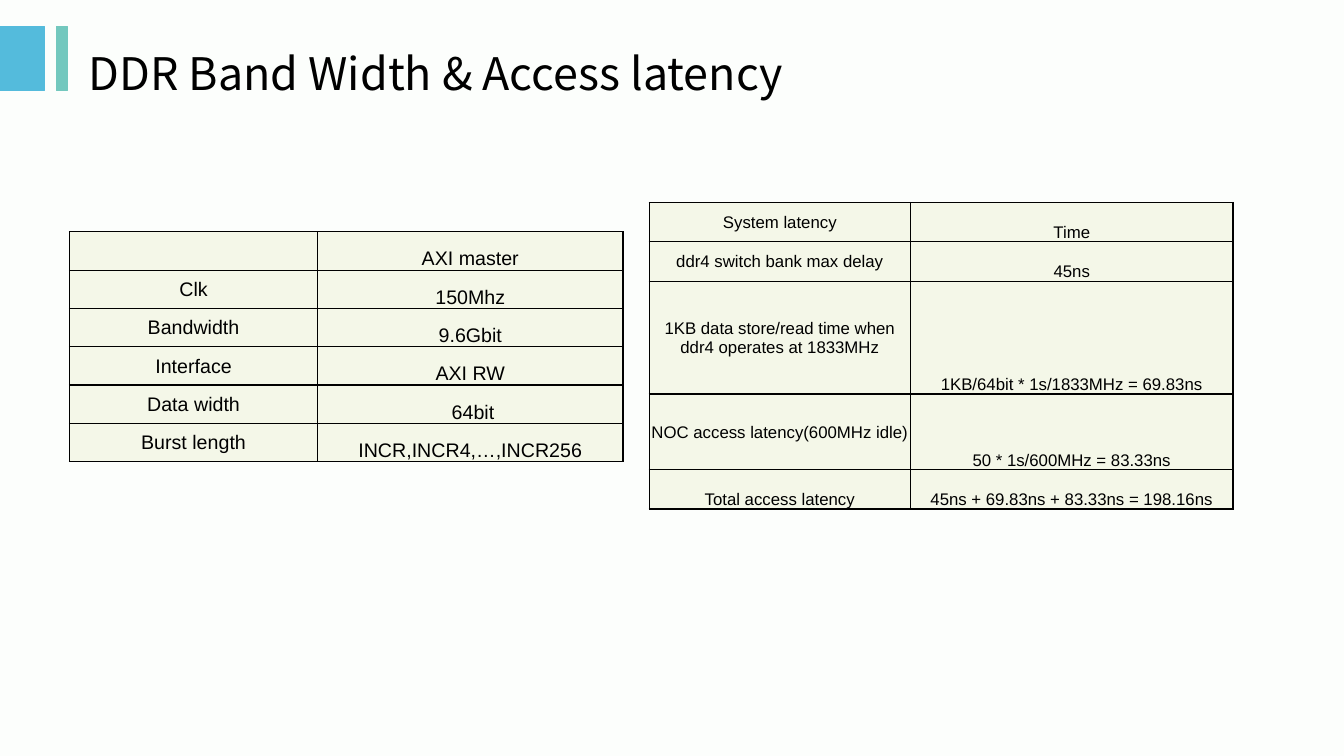
from lxml import etree
from pptx import Presentation
from pptx.dml.color import RGBColor
from pptx.enum.shapes import MSO_SHAPE
from pptx.enum.text import MSO_ANCHOR, PP_ALIGN
from pptx.oxml.ns import qn
from pptx.util import Inches, Pt

RECT = MSO_SHAPE.RECTANGLE
MIDDLE, BOTTOM = MSO_ANCHOR.MIDDLE, MSO_ANCHOR.BOTTOM
LEFT, CENTER = PP_ALIGN.LEFT, PP_ALIGN.CENTER

BACKGROUND = RGBColor(0xFC, 0xFE, 0xFC)
BLUE = RGBColor(0x54, 0xBB, 0xDC)
TEAL = RGBColor(0x73, 0xC8, 0xBE)
CELL = RGBColor(0xF4, 0xF7, 0xE8)
BLACK = RGBColor(0, 0, 0)

AXI_ROWS = [
    ("", "AXI master"),
    ("Clk", "150Mhz"),
    ("Bandwidth", "9.6Gbit"),
    ("Interface", "AXI RW"),
    ("Data width", " 64bit"),
    ("Burst length", "INCR,INCR4,…,INCR256"),
]
LATENCY_ROWS = [
    ("System latency", "Time"),
    ("ddr4 switch bank max delay", "45ns"),
    ("1KB data store/read time when ddr4 operates at 1833MHz",
     "1KB/64bit * 1s/1833MHz = 69.83ns"),
    ("NOC access latency(600MHz idle)", "50 * 1s/600MHz = 83.33ns"),
    ("Total access latency", "45ns + 69.83ns + 83.33ns = 198.16ns"),
]


def write(tf, text, size, font="Arial", color=BLACK, align=LEFT):
    tf.word_wrap = True
    p = tf.paragraphs[0]
    p.alignment = align
    r = p.add_run()
    r.text = text
    r.font.size = Pt(size)
    r.font.name = font
    r.font.color.rgb = color
    for tag in ("a:ea", "a:cs"):
        etree.SubElement(r.font._element, qn(tag), typeface=font)


def add_borders(cell, color=BLACK, width=1):
    tc_pr = cell._tc.get_or_add_tcPr()
    for side in "LRTB":
        ln = etree.SubElement(tc_pr, qn(f"a:ln{side}"), w=str(Pt(width)))
        fill = etree.SubElement(ln, qn("a:solidFill"))
        etree.SubElement(fill, qn("a:srgbClr"), val=str(color))


class Deck:
    def __init__(self):
        self.prs = Presentation()
        self.prs.slide_width = Inches(13.33)
        self.prs.slide_height = Inches(7.5)
        self.s = self.prs.slides.add_slide(self.prs.slide_layouts[6])
        fill = self.s.background.fill
        fill.solid()
        fill.fore_color.rgb = BACKGROUND

    def bar(self, x, y, w, h, color):
        sp = self.s.shapes.add_shape(RECT, Inches(x), Inches(y), Inches(w), Inches(h))
        sp.shadow.inherit = False
        sp.fill.solid()
        sp.fill.fore_color.rgb = color
        sp.line.color.rgb = color
        sp.line.width = Pt(0.75)

    def title(self, text, x, y, w, h):
        sp = self.s.shapes.add_textbox(Inches(x), Inches(y), Inches(w), Inches(h))
        tf = sp.text_frame
        tf.vertical_anchor = MIDDLE
        write(tf, text, 32, font="Noto Sans CJK SC")

    def table(self, rows, x, y, widths, heights, size, bottom_rows=()):
        frame = self.s.shapes.add_table(
            len(rows), len(widths), Inches(x), Inches(y),
            Inches(sum(widths)), Inches(sum(heights)))
        table = frame.table
        for column, width in zip(table.columns, widths):
            column.width = Inches(width)
        for i, (row, height) in enumerate(zip(rows, heights)):
            table.rows[i].height = Inches(height)
            for j, text in enumerate(row):
                cell = table.cell(i, j)
                add_borders(cell)
                cell.fill.solid()
                cell.fill.fore_color.rgb = CELL
                cell.margin_left = cell.margin_right = cell.margin_top = Inches(0.01)
                cell.margin_bottom = 0
                cell.vertical_anchor = BOTTOM if j or i in bottom_rows else MIDDLE
                if text:
                    write(cell.text_frame, text, size, align=CENTER)


def main():
    deck = Deck()
    deck.bar(0, 0.26, 0.44, 0.64, BLUE)
    deck.bar(0.56, 0.26, 0.11, 0.64, TEAL)
    deck.title("DDR Band Width & Access latency", 0.78, 0.26, 11.88, 0.92)
    deck.table(AXI_ROWS, 0.69, 2.3, [2.46, 3.03], [0.38] * len(AXI_ROWS), 14)
    deck.table(LATENCY_ROWS, 6.44, 2.01, [2.59, 3.2],
               [0.39, 0.39, 1.12, 0.75, 0.39], 12, bottom_rows=(4,))
    deck.prs.save("out.pptx")


if __name__ == "__main__":
    main()
